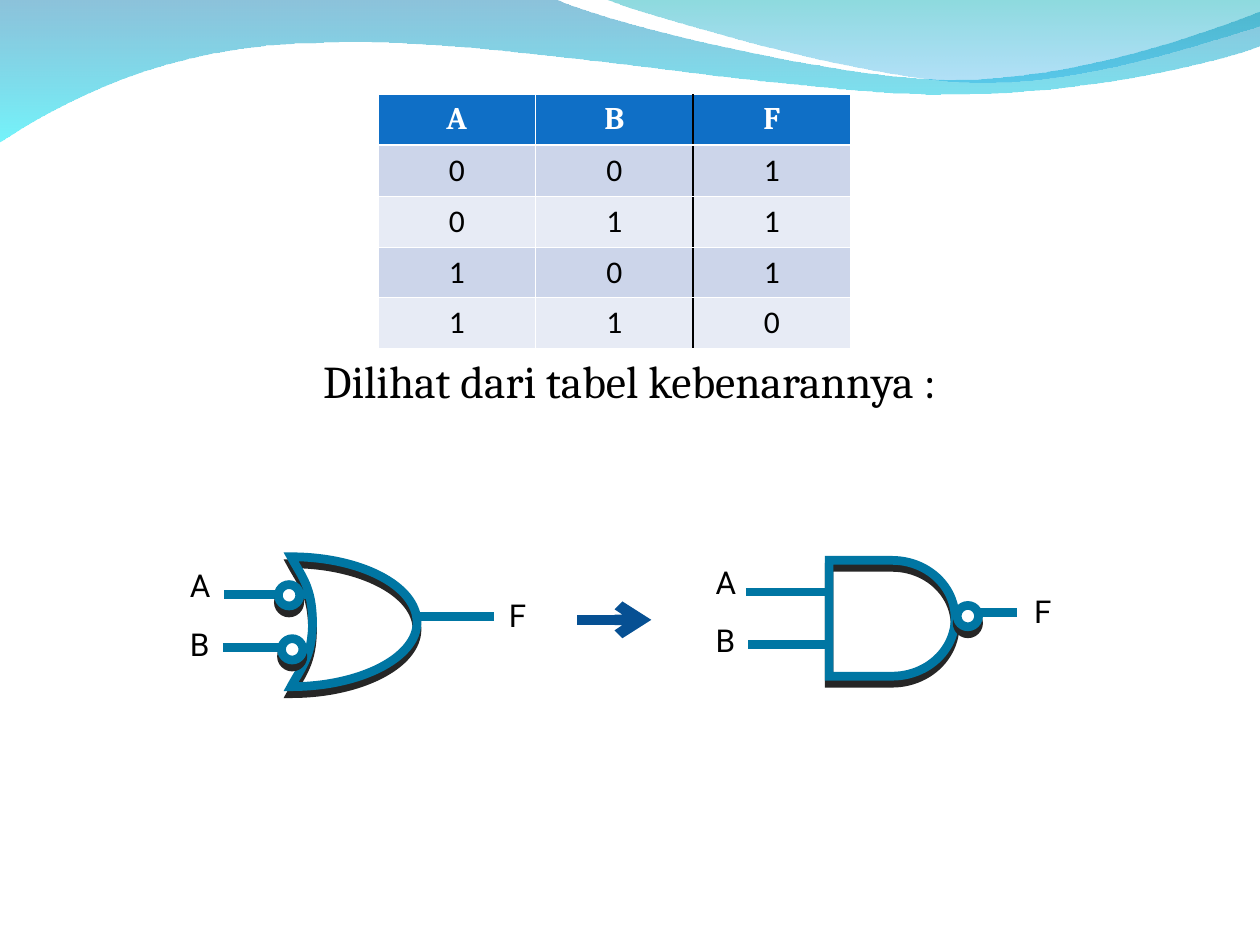
from lxml import etree
from pptx import Presentation
from pptx.dml.color import RGBColor
from pptx.enum.shapes import MSO_CONNECTOR, MSO_SHAPE
from pptx.enum.text import MSO_AUTO_SIZE, PP_ALIGN
from pptx.oxml.ns import qn
from pptx.util import Pt

LINE = MSO_CONNECTOR.STRAIGHT
OVAL = MSO_SHAPE.OVAL
DELAY = MSO_SHAPE.FLOWCHART_DELAY
FIT = MSO_AUTO_SIZE.SHAPE_TO_FIT_TEXT
LEFT, MID = PP_ALIGN.LEFT, PP_ALIGN.CENTER

HUE = {
    "ink": "000000", "white": "FFFFFF", "head": "0F6FC6",
    "odd": "CCD5EA", "even": "E7EBF5", "gate": "0076A3",
    "arrow": "065093", "shade": "262626", "sea": "0079AF",
    "aqua": "00EBF8", "teal": "00ADB6", "sky": "009BE5",
}
BUBBLE = 12.2
WIDTH = {"A": 25.9, "B": 25.9, "F": 23.8}
TRUTH = ["ABF", "001", "011", "101", "110"]

WAVE = [
    (0, -0.7), (316.8, -0.7),
    (342.7, 12.2, 478.1, 45.4, 545.8, 45.4),
    (614.2, 45.4, 689.8, 18.7, 720, 6.5), (720.7, 25.9),
    (707.8, 31.7, 626.4, 54.7, 537.1, 54),
    (447.8, 54, 275, 20.2, 185, 24.5),
    (92.9, 25.2, 33.1, 59.8, -0.7, 81.4),
]
CREST = [
    (344.9, -0.7), (366.5, 7.9, 491, 44.6, 553.7, 46.8),
    (616.3, 49.7, 691.9, 23, 720, 15.1), (720, 0),
]
OR_BODY = [
    (166.3, 392.4), (172.1, 381.6, 178.6, 375.1, 178.6, 355.7),
    (178.6, 335.5, 172.1, 329, 166.3, 318.2),
    (205.9, 318.2, 238.3, 334.8, 238.3, 355.7),
    (238.3, 375.8, 205.9, 392.4, 166.3, 392.4),
]


def rgb(hue):
    return RGBColor.from_string(HUE[hue])


def node(parent, tag, **attrs):
    return etree.SubElement(parent, qn(tag), {k: str(v) for k, v in attrs.items()})


def write(frame, text, size=18, font="Calibri", hue="ink", bold=False, align=LEFT):
    para = frame.paragraphs[0]
    para.alignment = align
    run = para.add_run()
    run.text = text
    run.font.size = Pt(size)
    run.font.name = font
    run.font.bold = bold
    run.font.color.rgb = rgb(hue)


def label(shapes, text, x, y):
    box = shapes.add_textbox(Pt(x), Pt(y), Pt(WIDTH[text]), Pt(29))
    box.text_frame.word_wrap = False
    box.text_frame.auto_size = FIT
    write(box.text_frame, text, font="Roboto")


def curve(shapes, steps):
    ends = [(Pt(step[-2]), Pt(step[-1])) for step in steps]
    pen = shapes.build_freeform(*ends[0], scale=1.0)
    pen.add_line_segments(ends[1:], close=True)
    shape = pen.convert_to_shape()
    lines = list(shape._element.spPr.iter(qn("a:lnTo")))
    for line, step in zip(lines, steps[1:]):
        if len(step) == 6:
            line.clear()
            bend = etree.Element(qn("a:cubicBezTo"))
            for x, y in zip(step[::2], step[1::2]):
                node(bend, "a:pt", x=Pt(x) - shape.left, y=Pt(y) - shape.top)
            line.getparent().replace(line, bend)
    return shape


def wave(shapes, steps, stops):
    shape = curve(shapes, steps)
    shape.shadow.inherit = False
    shape.line.fill.background()
    shape.fill.gradient()
    shape.fill.gradient_angle = 270
    for stop, (hue, _) in zip(shape.fill.gradient_stops, stops):
        stop.color.rgb = rgb(hue)
    tints = shape._element.spPr.iter(qn("a:srgbClr"))
    for tint, (_, alpha) in zip(tints, stops):
        node(tint, "a:alpha", val=alpha * 1000)


def outline(shape, fill=None):
    if fill:
        shape.fill.solid()
        shape.fill.fore_color.rgb = rgb(fill)
    else:
        shape.fill.background()
    shape.line.color.rgb = rgb("gate")
    shape.line.width = Pt(5)
    node(shape.line._get_or_add_ln(), "a:miter", lim=800000)
    shape.shadow.inherit = False
    glow = shape._element.spPr.find(qn("a:effectLst"))
    drop = node(glow, "a:outerShdw", blurRad=0, dist=Pt(4), dir=5400000,
                algn="ctr", rotWithShape=0)
    node(drop, "a:srgbClr", val=HUE["shade"])


def wire(shapes, start, end, y, hue="gate", width=5, tip=False):
    line = shapes.add_connector(LINE, Pt(start), Pt(y), Pt(end), Pt(y))
    line.line.color.rgb = rgb(hue)
    line.line.width = Pt(width)
    if tip:
        node(line.line._get_or_add_ln(), "a:tailEnd", type="arrow")
    node(line._element.spPr, "a:effectLst")


def gate(shapes, body, wires, dots, names):
    for ends in wires:
        wire(shapes, *ends)
    outline(body)
    for x, y in dots:
        ring = shapes.add_shape(OVAL, Pt(x), Pt(y), Pt(BUBBLE), Pt(BUBBLE))
        outline(ring, fill="white")
    for text, x, y in names:
        label(shapes, text, x, y)


def edge(cell, sides):
    props = cell._tc.get_or_add_tcPr()
    for i, (side, (hue, width)) in enumerate(sides.items()):
        line = node(props, "a:ln" + side, w=Pt(width))
        node(node(line, "a:solidFill"), "a:srgbClr", val=HUE[hue])
        props.insert(i, line)


def grid(shapes):
    table = shapes.add_table(5, 3, Pt(216), Pt(54), Pt(270), Pt(145.2)).table
    thin, thick, rule = ("white", 0.45), ("white", 1.47), ("ink", 1.47)
    for r, row in enumerate(TRUTH):
        head = r == 0
        for c, text in enumerate(row):
            cell = table.cell(r, c)
            cell.fill.solid()
            cell.fill.fore_color.rgb = rgb("head" if head else "odd" if r % 2 else "even")
            edge(cell, {
                "L": rule if c == 2 else thin,
                "R": rule if c == 1 else thin,
                "T": thick if r == 1 else thin,
                "B": thick if head else thin,
            })
            write(cell.text_frame, text, font="Cambria" if head else "Calibri",
                  hue="white" if head else "ink", bold=head, align=MID)


def main():
    deck = Presentation()
    deck.slide_width, deck.slide_height = Pt(720), Pt(540)
    shapes = deck.slides.add_slide(deck.slide_layouts[6]).shapes
    wave(shapes, WAVE, [("sea", 45), ("aqua", 55)])
    wave(shapes, CREST, [("teal", 45), ("sky", 30)])

    box = shapes.add_textbox(Pt(36), Pt(198), Pt(648), Pt(291.6))
    box.text_frame.word_wrap = True
    write(box.text_frame, "Dilihat dari tabel kebenarannya :", size=26,
          font="Cambria", align=MID)
    grid(shapes)
    wire(shapes, 329.8, 372.2, 354.2, hue="arrow", width=6, tip=True)

    left = shapes.add_group_shape().shapes
    gate(left, curve(left, OR_BODY),
         [(282.2, 239, 352.1), (128.2, 175.7, 339.8), (127.4, 174.2, 370.1)],
         [(160.9, 365), (159.1, 334.1)],
         [("A", 101.5, 319.7), ("B", 101.5, 353.5), ("F", 283.7, 337)])

    right = shapes.add_group_shape().shapes
    body = right.add_shape(DELAY, Pt(473.8), Pt(320.2), Pt(72), Pt(66.2))
    gate(right, body,
         [(581, 547.9, 350.2), (426.2, 473.8, 338.3), (427.7, 473.8, 368.3)],
         [(547, 346)],
         [("A", 401.8, 318.2), ("B", 401.8, 351.4), ("F", 583.9, 334.8)])
    deck.save("out.pptx")


if __name__ == "__main__":
    main()
